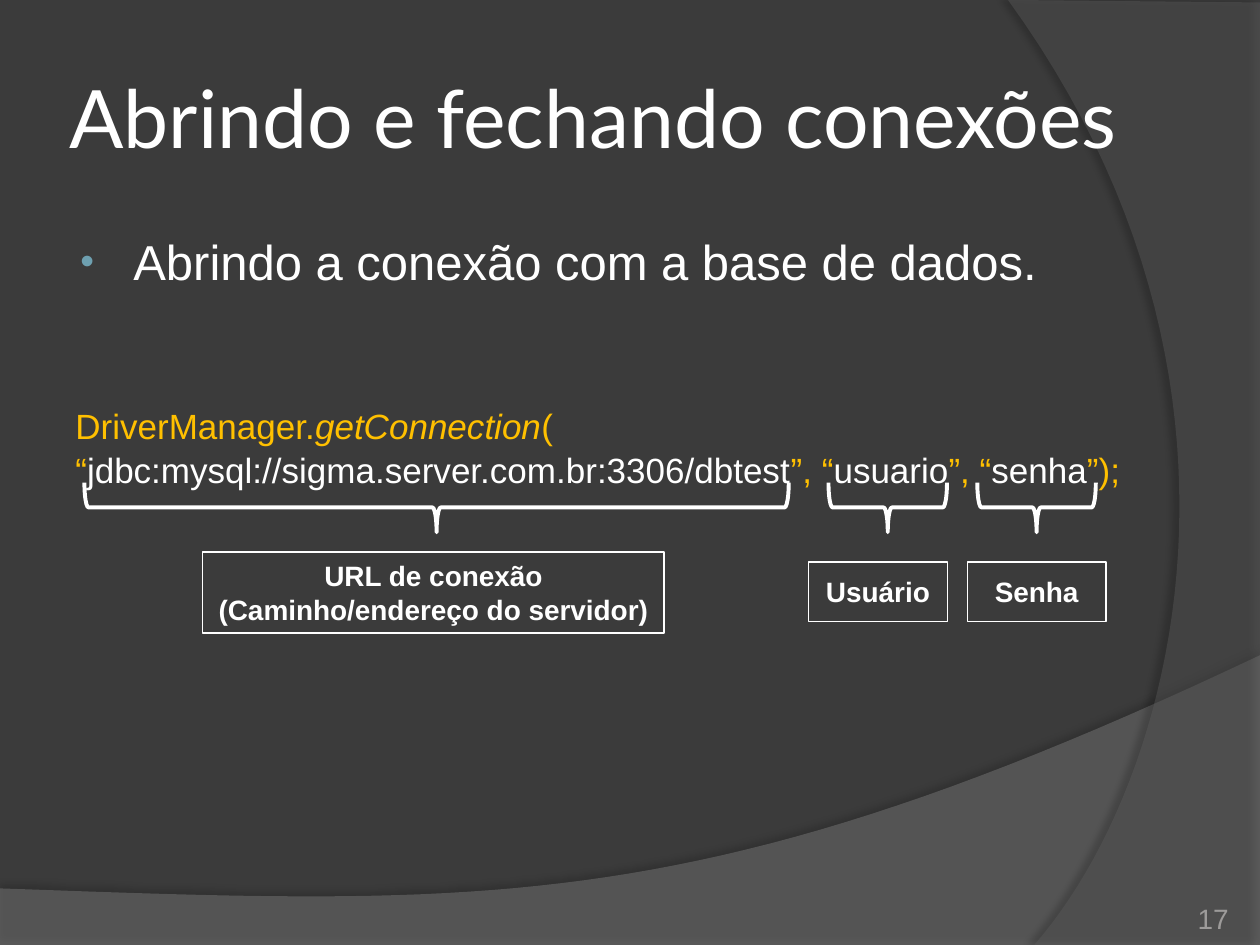
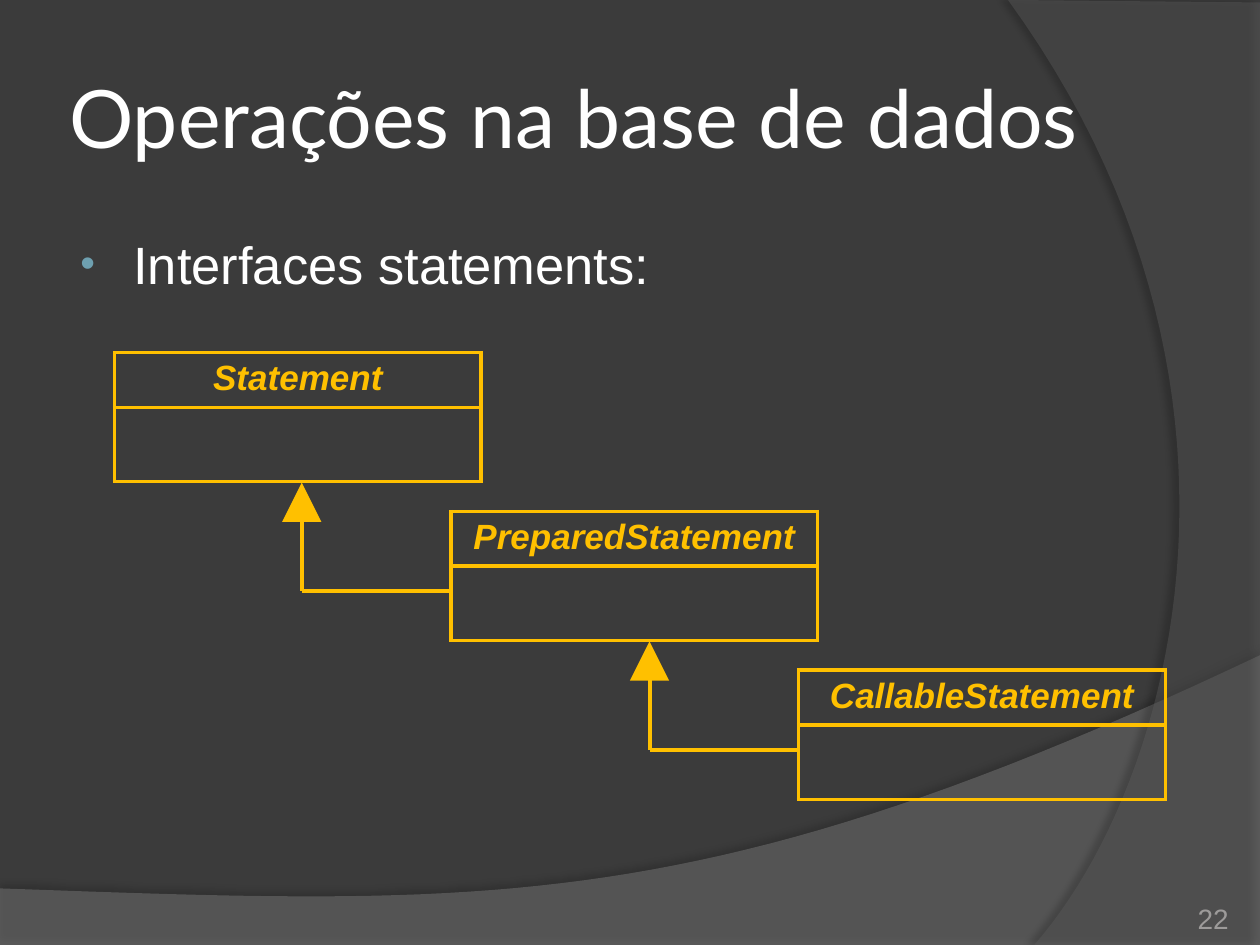
from lxml import etree
from pptx import Presentation
from pptx.dml.color import RGBColor
from pptx.enum.shapes import MSO_CONNECTOR, MSO_SHAPE
from pptx.enum.text import MSO_ANCHOR, PP_ALIGN
from pptx.oxml.ns import qn
from pptx.util import Cm, Pt

DARK = RGBColor(0x3B, 0x3B, 0x3B)
GREY = RGBColor(0x7F, 0x7F, 0x7F)
SLATE = RGBColor(0x5E, 0x5E, 0x5E)
WHITE = RGBColor(0xFF, 0xFF, 0xFF)
GOLD = RGBColor(0xFF, 0xC0, 0x00)
BLUE = RGBColor(0x6E, 0xA0, 0xB0)
PALE = RGBColor(0x9D, 0x9B, 0x9A)
BLACK = RGBColor(0, 0, 0)
SANS = "Arial"
HEAD = "Lato"
LEFT, CENTER, RIGHT = PP_ALIGN.LEFT, PP_ALIGN.CENTER, PP_ALIGN.RIGHT
TOP, MIDDLE, BOTTOM = MSO_ANCHOR.TOP, MSO_ANCHOR.MIDDLE, MSO_ANCHOR.BOTTOM
BRACE, RECT = MSO_SHAPE.RIGHT_BRACE, MSO_SHAPE.RECTANGLE
PEAK, LINE = MSO_SHAPE.ISOSCELES_TRIANGLE, MSO_CONNECTOR.STRAIGHT
WIDE, HIGH = 25.4, 19.05
STROKE = 2.25


def node(parent, tag, **attrs):
    item = etree.SubElement(parent, qn(tag))
    for key, val in attrs.items():
        item.set(key, str(val))
    return item


def tint(parent, color):
    return node(parent, "a:srgbClr", val=color)


def style(run, size, color, font=SANS, bold=False, slant=False):
    run.font.size = Pt(size)
    run.font.name = font
    run.font.color.rgb = color
    run.font.bold = bold
    run.font.italic = slant


def write(frame, text, size, color, align=LEFT, **look):
    frame.text = text
    for para in frame.paragraphs:
        para.alignment = align
        for run in para.runs:
            style(run, size, color, **look)


def panel(slide, box, anchor=TOP, inset=None):
    frame = slide.shapes.add_textbox(*map(Cm, box)).text_frame
    frame.word_wrap = True
    frame.vertical_anchor = anchor
    if inset is not None:
        frame.margin_left = frame.margin_right = Cm(inset)
        frame.margin_top = frame.margin_bottom = Cm(inset)
    return frame


def curve(start, pull, push, end, steps=48):
    for step in range(1, steps + 1):
        t = step / steps
        u = 1 - t
        weights = (u ** 3, 3 * u * u * t, 3 * u * t * t, t ** 3)
        marks = (start, pull, push, end)
        yield tuple(sum(w * m[axis] for w, m in zip(weights, marks))
                    for axis in (0, 1))


def band(slide, corners, bend, color, alpha, shade):
    spots = corners + list(curve(corners[-1], *bend))
    spots = [(Cm(x), Cm(y)) for x, y in spots]
    build = slide.shapes.build_freeform(*spots[0])
    build.add_line_segments(spots[1:], close=True)
    shape = build.convert_to_shape()
    shape.fill.solid()
    shape.fill.fore_color.rgb = color
    shape.line.fill.background()
    node(shape._element.spPr.find(".//" + qn("a:srgbClr")),
         "a:alpha", val=alpha * 1000)
    depth, blur, dist, angle = shade
    glow = node(node(shape._element.spPr, "a:effectLst"), "a:outerShdw",
                blurRad=Pt(blur), dist=Pt(dist), dir=angle * 60000,
                algn="ctr", rotWithShape=0)
    node(tint(glow, BLACK), "a:alpha", val=depth * 1000)


def base(deck, title, number):
    slide = deck.slides.add_slide(deck.slide_layouts[6])
    band(slide, [(0, 17.91), (0, HIGH), (WIDE, HIGH), (WIDE, 13.21)],
         [(14.2, 18.52), (9.93, 18.26), (0, 17.91)],
         GREY, 45, (35, 4, 3.5, 270))
    band(slide, [(WIDE, 0.05), (WIDE, HIGH), (20.85, HIGH)],
         [(23.75, 15.72), (25.86, 7.62), (20.32, 0)],
         SLATE, 40, (45, 4, 4, 180))
    frame = panel(slide, (1.27, 0.76, 23.14, 3.18), MIDDLE, 0.13)
    write(frame, title, 46, WHITE, font=HEAD)
    frame = panel(slide, (22.66, 17.83, 2.11, 1.02), BOTTOM, 0)
    write(frame, number, 16, PALE, RIGHT)
    return slide


def body(slide, text, size):
    frame = panel(slide, (1.27, 4.55, 22.43, 12.47))
    frame.text = text
    para = frame.paragraphs[0]
    props = para._p.get_or_add_pPr()
    props.set("marL", str(Cm(1.17)))
    props.set("indent", str(Cm(-1.07)))
    tint(node(props, "a:buClr"), BLUE)
    node(props, "a:buSzPct", val=80000)
    node(props, "a:buFont", typeface=SANS)
    node(props, "a:buChar", char="•")
    style(para.runs[0], size, WHITE)
    return frame


def code(frame, lines):
    para = frame.add_paragraph()
    para.space_before = Pt(64)
    para.line_spacing = 1.04
    for row, parts in enumerate(lines):
        if row:
            para.add_line_break()
        for text, color, slant in parts:
            run = para.add_run()
            run.text = text
            style(run, 20, color, slant=slant)


def plain(shapes, kind, box):
    shape = shapes.add_shape(kind, *map(Cm, box))
    shape.shadow.inherit = False
    shape.fill.background()
    return shape


def brace(slide, left, width, top=9.73, height=1):
    box = (left + (width - height) / 2, top - (width - height) / 2,
           height, width)
    shape = plain(slide.shapes, BRACE, box)
    shape.rotation = 90
    shape.line.color.rgb = WHITE
    shape.line.width = Pt(STROKE)


def label(slide, text, box, wrap=True):
    shape = plain(slide.shapes, RECT, box)
    shape.line.color.rgb = WHITE
    shape.line.width = Pt(0.75)
    frame = shape.text_frame
    frame.word_wrap = wrap
    frame.vertical_anchor = MIDDLE
    write(frame, text, 16, WHITE, CENTER, bold=True)


def edge(cell):
    cell.fill.background()
    props = cell._tc.get_or_add_tcPr()
    for spot, side in enumerate("LRTB"):
        line = node(props, "a:ln" + side, w=Pt(STROKE))
        tint(node(line, "a:solidFill"), GOLD)
        props.insert(spot, line)


def entity(slide, name, left, top):
    rows = (1.07, 1.5)
    box = (left, top, 7.39, sum(rows))
    table = slide.shapes.add_table(2, 1, *map(Cm, box)).table
    table.first_row = table.horz_banding = False
    for row, height in zip(table.rows, rows):
        row.height = Cm(height)
        edge(row.cells[0])
    write(table.cell(0, 0).text_frame, name, 20, GOLD, CENTER,
          bold=True, slant=True)


def arrow(slide, left, top):
    shapes = slide.shapes.add_group_shape().shapes
    size = 0.79
    peak = plain(shapes, PEAK, (left - 3.4, top - 0.58, size, size))
    peak.fill.solid()
    peak.fill.fore_color.rgb = GOLD
    peak.line.fill.background()
    stem, turn = left - 3, top + 1.6
    for start in ((stem, top + 0.2), (left, turn)):
        line = shapes.add_connector(LINE, *map(Cm, (*start, stem, turn)))
        line.line.color.rgb = GOLD
        line.line.width = Pt(STROKE)
        node(line._element.spPr, "a:effectLst")


def link(deck):
    slide = base(deck, "Abrindo e fechando conexões", "17")
    frame = body(slide, "Abrindo a conexão com a base de dados.", 28)
    code(frame, [
        [("DriverManager.", GOLD, False),
         ("getConnection", GOLD, True),
         ("(", GOLD, False)],
        [("“", GOLD, False),
         ("jdbc:mysql://sigma.server.com.br:3306/dbtest", WHITE, False),
         ("”, “", GOLD, False),
         ("usuario", WHITE, False),
         ("”, “", GOLD, False),
         ("senha", WHITE, False),
         ("”);", GOLD, False)],
    ])
    for left, width in ((1.7, 14.2), (16.7, 2.39), (19.7, 2.39)):
        brace(slide, left, width)
    label(slide, "URL de conexão\n(Caminho/endereço do servidor)",
          (4.09, 11.13, 9.3, 1.63), wrap=False)
    for text, left in (("Usuário", 16.3), ("Senha", 19.5)):
        label(slide, text, (left, 11.33, 2.8, 1.2))


def tree(deck):
    slide = base(deck, "Operações na base de dados", "22")
    body(slide, "Interfaces statements:", 30)
    names = ("Statement", "PreparedStatement", "CallableStatement")
    for step, (name, left) in enumerate(zip(names, (2.31, 9.09, 16.1))):
        top = 7.11 + 3.2 * step
        entity(slide, name, left, top)
        if step:
            arrow(slide, left, top)


def main():
    deck = Presentation()
    deck.slide_width, deck.slide_height = Cm(WIDE), Cm(HIGH)
    fill = deck.slide_master.background.fill
    fill.solid()
    fill.fore_color.rgb = DARK
    link(deck)
    tree(deck)
    deck.save("out.pptx")


if __name__ == "__main__":
    main()
